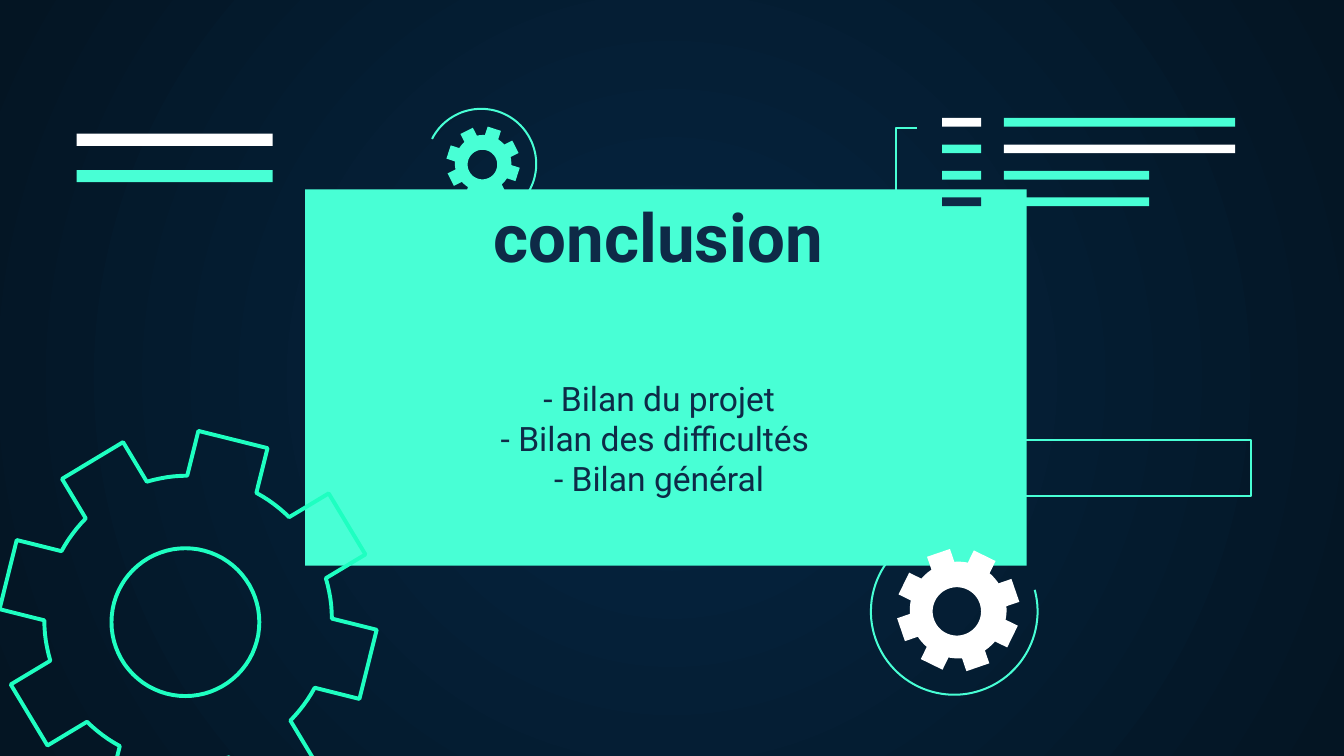
import math
from dataclasses import dataclass
from typing import Optional

import pptx
import pptx.dml.color
import pptx.enum.shapes
import pptx.enum.text
import pptx.oxml
import pptx.oxml.ns
import pptx.shapes.base
import pptx.slide
import pptx.util

COLORS = {
    "mint": "48FFD5",
    "bright": "1EFFC1",
    "white": "FFFFFF",
    "navy": "0E2A47",
    "glow": "052643",
    "night": "041523",
}
COLUMNS = 100
TEETH = 8
Point = tuple[float, float]

deck = pptx.Presentation()
deck.slide_width = pptx.util.Inches(10)
deck.slide_height = deck.slide_width * 9 // 16
CELL = deck.slide_width / COLUMNS


@dataclass
class Bar:
    column: float
    row: float
    columns: float
    rows: float
    fill: Optional[str] = None
    line: Optional[str] = None


@dataclass
class Gear:
    center: Point
    tip: float
    root: float
    half_tooth: float
    turn: float
    hole_center: Point
    hole: float
    fill: Optional[str] = None
    line: Optional[str] = None
    width: float = 2.1


@dataclass
class Ring:
    center: Point
    radius: float
    start: float
    end: float


@dataclass
class Label:
    text: str
    area: Bar
    size: int
    bold: bool
    anchor: pptx.enum.text.MSO_ANCHOR


def cells(count: float) -> int:
    return round(count * CELL)


def rgb(name: str) -> pptx.dml.color.RGBColor:
    return pptx.dml.color.RGBColor.from_string(COLORS[name])


def paint(shape: pptx.shapes.base.BaseShape, fill: Optional[str],
          line: Optional[str], width: float = 1.09) -> None:
    shape.shadow.inherit = False
    if fill:
        shape.fill.solid()
        shape.fill.fore_color.rgb = rgb(fill)
    else:
        shape.fill.background()
    if line:
        shape.line.color.rgb = rgb(line)
        shape.line.width = pptx.util.Pt(width)
    else:
        shape.line.fill.background()


def polar(center: Point, radius: float, degrees: float) -> Point:
    angle = math.radians(degrees)
    return center[0] + radius * math.sin(angle), center[1] - radius * math.cos(angle)


def arc(center: Point, radius: float, start: float, end: float, steps: int) -> list[Point]:
    return [polar(center, radius, start + (end - start) * step / steps)
            for step in range(steps + 1)]


def draw_outline(page: pptx.slide.Slide, contours: list[list[Point]],
                 closed: bool) -> pptx.shapes.base.BaseShape:
    scaled = [[(cells(x), cells(y)) for x, y in contour] for contour in contours]
    builder = page.shapes.build_freeform(*scaled[0][0])
    for index, contour in enumerate(scaled):
        if index:
            builder.move_to(*contour[0])
        builder.add_line_segments(contour[1:], close=closed)
    return builder.convert_to_shape()


def draw_bar(page: pptx.slide.Slide, bar: Bar) -> None:
    shape = page.shapes.add_shape(
        pptx.enum.shapes.MSO_SHAPE.RECTANGLE,
        cells(bar.column), cells(bar.row), cells(bar.columns), cells(bar.rows))
    paint(shape, bar.fill, bar.line)


def draw_gear(page: pptx.slide.Slide, gear: Gear) -> None:
    pitch = 360 / TEETH
    base = math.degrees(math.asin(gear.half_tooth / gear.root))
    spread = math.degrees(math.atan2(gear.half_tooth, gear.tip))
    corner = math.hypot(gear.tip, gear.half_tooth)
    rim = []
    for tooth in range(TEETH):
        middle = gear.turn + tooth * pitch
        rim += [polar(gear.center, corner, middle - spread),
                polar(gear.center, corner, middle + spread)]
        rim += arc(gear.center, gear.root, middle + base, middle + pitch - base, 6)
    hole = arc(gear.hole_center, gear.hole, 360, 0, 72)
    paint(draw_outline(page, [rim, hole], True), gear.fill, gear.line, gear.width)


def draw_ring(page: pptx.slide.Slide, ring: Ring) -> None:
    curve = arc(ring.center, ring.radius, ring.start, ring.end, 72)
    paint(draw_outline(page, [curve], False), None, "mint")


def draw_label(page: pptx.slide.Slide, label: Label) -> None:
    area = label.area
    box = page.shapes.add_textbox(
        cells(area.column), cells(area.row), cells(area.columns), cells(area.rows))
    frame = box.text_frame
    frame.word_wrap = True
    frame.vertical_anchor = label.anchor
    frame.margin_left = frame.margin_right = cells(1)
    frame.margin_top = frame.margin_bottom = cells(1)
    frame.text = label.text
    para = frame.paragraphs[0]
    para.alignment = pptx.enum.text.PP_ALIGN.CENTER
    for span in para.runs:
        span.font.name = "Roboto"
        span.font.size = pptx.util.Pt(label.size)
        span.font.bold = label.bold
        span.font.color.rgb = rgb("navy")


def draw_background(page: pptx.slide.Slide) -> None:
    fill = page.background.fill
    fill.gradient()
    for stop, color, position in zip(fill.gradient_stops, ("glow", "night"), (0, 1)):
        stop.color.rgb = rgb(color)
        stop.position = position
    namespace = pptx.oxml.ns.nsdecls("a")
    linear = page.background._cSld.find(".//" + pptx.oxml.ns.qn("a:lin"))
    linear.getparent().replace(linear, pptx.oxml.parse_xml(
        f'<a:path {namespace} path="circle">'
        '<a:fillToRect l="50000" t="50000" r="50000" b="50000"/></a:path>'))


page = deck.slides.add_slide(deck.slide_layouts[6])
draw_background(page)
draw_bar(page, Bar(22.7, 14.1, 53.7, 28, "mint"))

for ring in (Ring((35.8, 12.2), 4.1, -63, 191), Ring((71, 45.5), 6.2, 75, 323)):
    draw_ring(page, ring)

for gear in (
    Gear((14, 46.1), 13.8, 10.7, 2.65, 14, (13.8, 46.3), 5.5, line="bright"),
    Gear((71.3, 45.4), 4.5, 3.6, 0.9, -19, (71.2, 45.5), 1.8, fill="white"),
    Gear((35.95, 12.15), 2.7, 2.1, 0.52, 18, (35.9, 12.25), 1.1, fill="mint"),
):
    draw_gear(page, gear)

LIST_ROWS = (("white", "mint", 17.2), ("mint", "white", 17.2),
             ("mint", "mint", 10.8), ("navy", "mint", 10.8))
for index, (marker, stripe, columns) in enumerate(LIST_ROWS):
    row = 8.78 + index * 1.97
    draw_bar(page, Bar(70.1, row, 2.9, 0.65, marker))
    draw_bar(page, Bar(74.7, row, columns, 0.65, stripe))

bracket = [(68.3, 15.6), (66.7, 15.6), (66.7, 9.5), (68.2, 9.5)]
paint(draw_outline(page, [bracket], False), None, "mint")

for bar in (
    Bar(5.7, 9.95, 14.6, 0.9, "white"),
    Bar(5.7, 12.65, 14.6, 0.9, "mint"),
    Bar(72, 32.75, 21.1, 4.15, line="mint"),
):
    draw_bar(page, bar)

for label in (
    Label(" - Bilan du projet \v- Bilan des difficultés \v- Bilan général",
          Bar(29.7, 22.3, 38.7, 15.8), 18, False, pptx.enum.text.MSO_ANCHOR.BOTTOM),
    Label("conclusion", Bar(30.1, 13.5, 37.8, 15.5), 36, True,
          pptx.enum.text.MSO_ANCHOR.TOP),
):
    draw_label(page, label)

deck.save("out.pptx")
